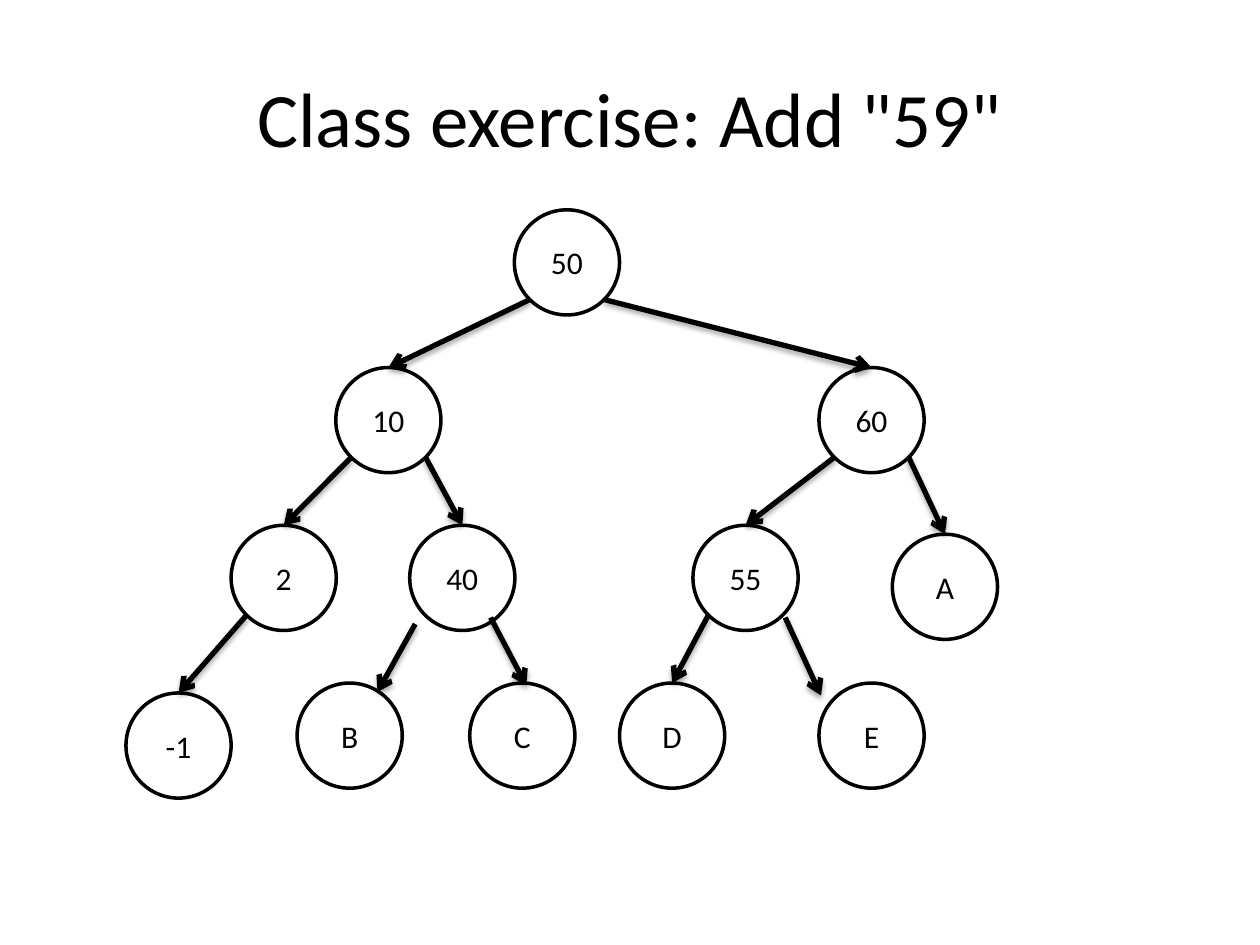
import math

import lxml.etree
import pptx
import pptx.dml.color
import pptx.enum.shapes
import pptx.enum.text
import pptx.oxml.ns
import pptx.util

Cm, Pt = pptx.util.Cm, pptx.util.Pt
COLORS = {"ink": "000000", "paper": "FFFFFF"}
TITLE_FONT = {"name": "Calibri", "size": Pt(44), "bold": False}
KEY_FONT = {"name": "Calibri", "size": Pt(18)}
KEY_FRAME = {"margin_left": 0, "margin_right": 0, "word_wrap": True,
             "vertical_anchor": pptx.enum.text.MSO_ANCHOR.MIDDLE}
TITLE_FRAME = {"word_wrap": True,
               "vertical_anchor": pptx.enum.text.MSO_ANCHOR.MIDDLE}

# Tree measures in cm
DIAMETER = 2.12
LEVEL_GAP = 3.18
DIAGONAL = math.sqrt(0.5)

# key: (parent, side of parent, level, left, extra drop)
TREE = {
    "50": (None, 0, 0, 7.83, 0),
    "10": ("50", -1, 1, 4.23, 0),
    "60": ("50", 1, 1, 13.97, 0),
    "2": ("10", -1, 2, 2.12, 0),
    "40": ("10", 1, 2, 5.72, 0),
    "55": ("60", -1, 2, 11.43, 0),
    "A": ("60", 1, 2, 15.45, 0.18),
    "-1": ("2", -1, 3, 0, 0.2),
    "B": ("40", -1, 3, 3.45, 0),
    "C": ("40", 1, 3, 6.93, 0),
    "D": ("55", -1, 3, 9.95, 0),
    "E": ("55", 1, 3, 13.97, 0),
}
# Arrows not attached to their nodes: start dx, dy and end dx, dy
ARROW_SHIFTS = {
    "B": (-0.2, 0.18, 0.56, 0.18),
    "C": (-0.18, 0.05, 0.08, 0.05),
    "E": (0.05, 0.05, -1.02, 0.25),
}


def rgb(name):
    return pptx.dml.color.RGBColor.from_string(COLORS[name])


def apply_format(target, values):
    for attribute, value in values.items():
        setattr(target, attribute, value)


def write_text(frame, text, font, frame_format):
    apply_format(frame, frame_format)
    paragraph = frame.paragraphs[0]
    paragraph.alignment = pptx.enum.text.PP_ALIGN.CENTER
    run = paragraph.add_run()
    run.text = text
    apply_format(run.font, font)
    run.font.color.rgb = rgb("ink")


def add_title(slide, left, top, width, height):
    title = slide.shapes.title
    apply_format(title, {"left": Cm(left), "top": Cm(top),
                         "width": Cm(width), "height": Cm(height)})
    write_text(title.text_frame, 'Class exercise: Add "59"', TITLE_FONT, TITLE_FRAME)


def add_node(slide, key, left, top):
    node = slide.shapes.add_shape(pptx.enum.shapes.MSO_SHAPE.OVAL, Cm(left), Cm(top),
                                  Cm(DIAMETER), Cm(DIAMETER))
    node.shadow.inherit = False
    node.fill.solid()
    node.fill.fore_color.rgb = rgb("paper")
    node.line.color.rgb = rgb("ink")
    node.line.width = Pt(2)
    write_text(node.text_frame, key, KEY_FONT, KEY_FRAME)


def add_arrow(slide, start, end):
    arrow = slide.shapes.add_connector(pptx.enum.shapes.MSO_CONNECTOR.STRAIGHT,
                                       *(Cm(value) for value in (*start, *end)))
    arrow.line.color.rgb = rgb("ink")
    arrow.line.width = Pt(3)
    qn, sub = pptx.oxml.ns.qn, lxml.etree.SubElement
    properties = arrow.line._get_or_add_ln().getparent()
    sub(arrow.line._get_or_add_ln(), qn("a:tailEnd"), type="arrow")
    # Soft shadow straight below the line
    effects = sub(properties, qn("a:effectLst"))
    shadow = sub(effects, qn("a:outerShdw"), blurRad=str(Pt(3.1)), dist=str(Pt(1.8)),
                 dir="5400000", rotWithShape="0")
    shade = sub(shadow, qn("a:srgbClr"), val=COLORS["ink"])
    sub(shade, qn("a:alpha"), val="35000")


def add_tree(slide, left, top):
    corners = {key: (left + x, top + level * LEVEL_GAP + drop)
               for key, (_, _, level, x, drop) in TREE.items()}
    radius = DIAMETER / 2

    # Nodes
    for key, corner in corners.items():
        add_node(slide, key, *corner)

    # Arrows from the parent's lower diagonal to the child's top
    for key, (parent, side, *_) in TREE.items():
        if parent is None:
            continue
        parent_x, parent_y = corners[parent]
        child_x, child_y = corners[key]
        start_dx, start_dy, end_dx, end_dy = ARROW_SHIFTS.get(key, (0, 0, 0, 0))
        start = (parent_x + radius * (1 + side * DIAGONAL) + start_dx,
                 parent_y + radius * (1 + DIAGONAL) + start_dy)
        end = (child_x + radius + end_dx, child_y + end_dy)
        add_arrow(slide, start, end)


def main():
    deck = pptx.Presentation()
    apply_format(deck, {"slide_width": Cm(25.4), "slide_height": Cm(19.05)})
    slide = deck.slides.add_slide(deck.slide_layouts[5])
    slide.background.fill.solid()
    slide.background.fill.fore_color.rgb = rgb("paper")
    add_title(slide, 1.27, 0.76, 22.86, 3.18)
    add_tree(slide, 2.54, 4.23)
    deck.save("out.pptx")


if __name__ == "__main__":
    main()
